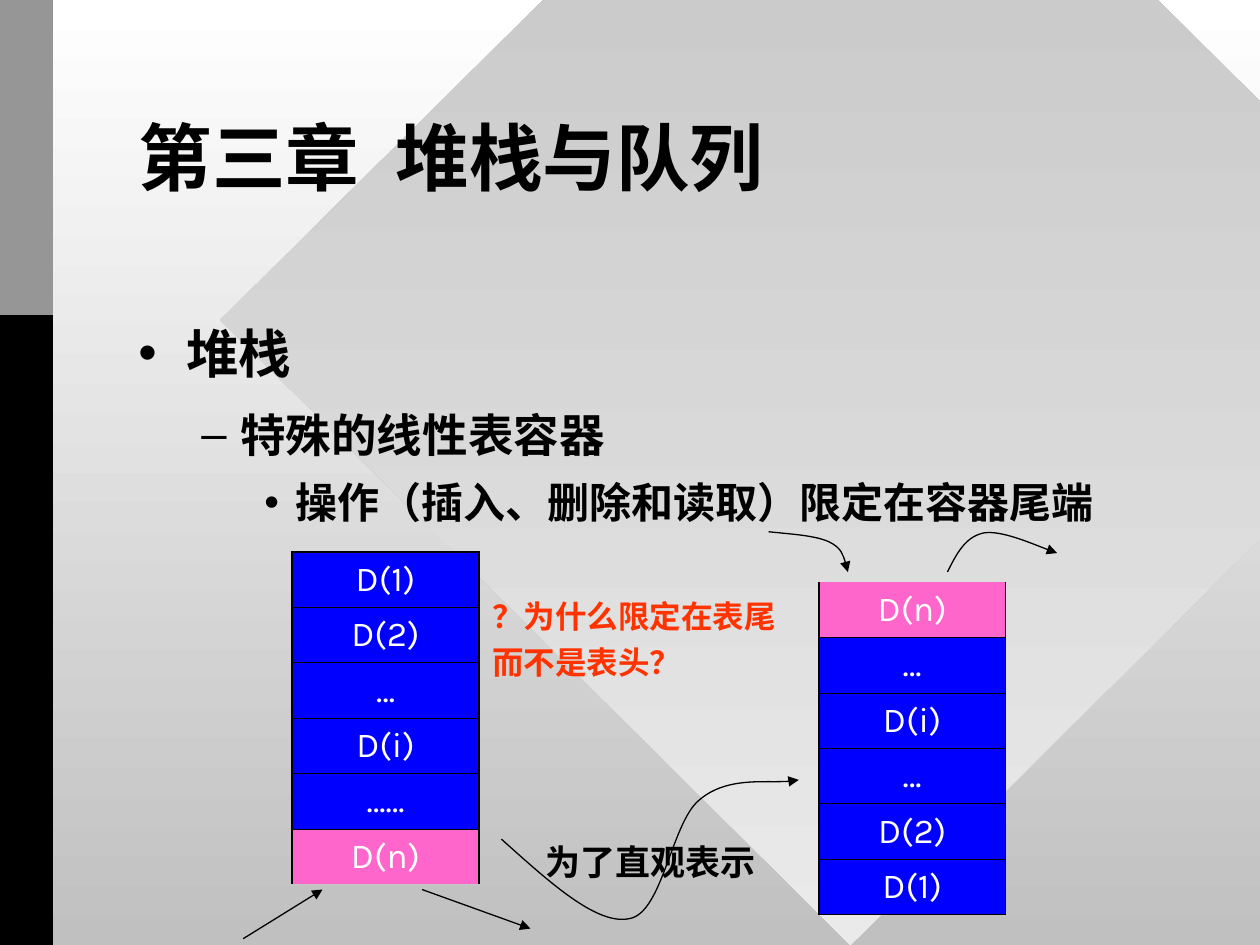
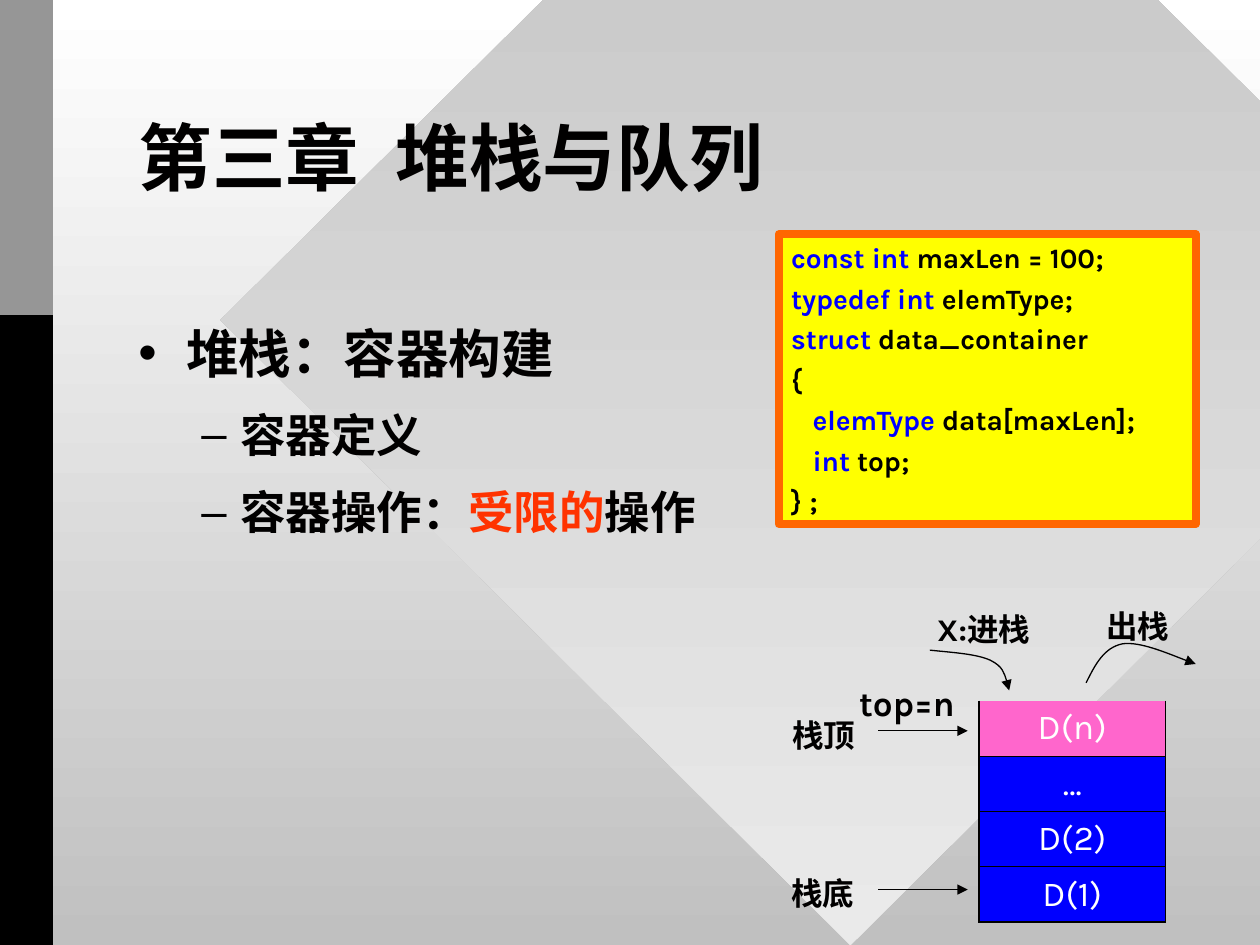
from lxml import etree
from pptx import Presentation
from pptx.dml.color import RGBColor
from pptx.enum.shapes import MSO_CONNECTOR, MSO_SHAPE
from pptx.enum.text import MSO_ANCHOR, MSO_AUTO_SIZE, PP_ALIGN
from pptx.oxml.ns import qn
from pptx.util import Inches, Pt

STRAIGHT = MSO_CONNECTOR.STRAIGHT
RECTANGLE, DIAMOND = MSO_SHAPE.RECTANGLE, MSO_SHAPE.DIAMOND
MIDDLE, TOP = MSO_ANCHOR.MIDDLE, MSO_ANCHOR.TOP
LEFT, CENTER = PP_ALIGN.LEFT, PP_ALIGN.CENTER
GROW, FIXED = MSO_AUTO_SIZE.SHAPE_TO_FIT_TEXT, MSO_AUTO_SIZE.NONE

FONT = "Karla"
COLORS = {
    "ink": "010000", "white": "FFFFFF", "silver": "C0C0C0", "pale": "EAEAEA",
    "gray": "969696", "black": "000000", "blue": "0000FF", "pink": "FF66CC",
    "red": "FF3300", "yellow": "FFFF00", "orange": "FF6600",
}
TITLE = "第三章\u2002堆栈与队列"
TITLE_BOX = (1, 0.67, 8, 1.25)
BODY_BOX = (1, 2.5, 8.25, 4)

# One entry per outline level: size, space before, margin, hang, bullet, line spacing
LEVELS = [
    (30, 22.5, 0.38, 0.38, "•", 1.0),
    (26, 13, 0.81, 0.31, "–", 1.0),
    (24, 10.5, 1.25, 0.25, "•", 0.95),
]
CELL_WIDTH, CELL_HEIGHT = 1.48, 0.44
SIDE_WIDTH, INNER_WIDTH, ARROW_WIDTH = 1.08, 0.45, 0.74

# Curves leave their start point through groups of three Bezier points
PUSH_CURVE = [(0, 0), (0.19, 0.02), (0.37, 0.03), (0.48, 0.08),
              (0.58, 0.13), (0.61, 0.23), (0.63, 0.32)]
POP_CURVE = [(0, 0), (0.07, -0.14), (0.14, -0.28), (0.29, -0.31),
             (0.43, -0.33), (0.73, -0.2), (0.87, -0.15)]
TURN_CURVE = [(0, 0), (0.38, 0.34), (0.76, 0.69), (1.02, 0.63),
              (1.28, 0.58), (1.35, -0.13), (1.57, -0.31),
              (1.79, -0.5), (2.2, -0.43), (2.36, -0.47)]

# Outline lines are (level, runs), runs are (text, colour);
# stacks are (left, top, cells, row of the closed end);
# labels are (left, top, width, height, size, colour, lines)
SLIDES = [
    {
        "outline": [
            (0, [("堆栈", "ink")]),
            (1, [("特殊的线性表容器", "ink")]),
            (2, [("操作（插入、删除和读取）限定在容器尾端", "ink")]),
        ],
        "stacks": [
            (2.32, 4.38, ["D(1)", "D(2)", "…", "D(i)", "……", "D(n)"], 0),
            (6.5, 4.62, ["D(n)", "…", "D(i)", "…", "D(2)", "D(1)"], 5),
        ],
        "arrows": [(1.93, 7.45, 2.56, 7.06), (3.35, 7.06, 4.21, 7.37)],
        "curves": [(6.1, 4.22, PUSH_CURVE), (7.52, 4.54, POP_CURVE),
                   (3.98, 6.66, TURN_CURVE)],
        "labels": [
            (3.81, 4.69, 2.45, 0.77, 18, "red", ["？为什么限定在表尾", "而不是表头？"]),
            (4.23, 6.62, 1.87, 0.44, 20, "ink", ["为了直观表示"]),
        ],
    },
    {
        "outline": [
            (0, [("堆栈：容器构建", "ink")]),
            (1, [("容器定义", "ink")]),
            (1, [("容器操作：", "ink"), ("受限的", "red"), ("操作", "ink")]),
        ],
        "code": [
            (0, [("const int ", "blue"), ("maxLen = 100;", "ink")]),
            (0, [("typedef int ", "blue"), ("elemType;", "ink")]),
            (0, [("struct ", "blue"), ("data_container", "ink")]),
            (0, [("{", "ink")]),
            (1, [("elemType ", "blue"), ("data[maxLen];", "black")]),
            (1, [("int", "blue"), (" top;", "black")]),
            (0, [("} ;", "ink")]),
        ],
        "stacks": [(7.77, 5.56, ["D(n)", "…", "D(2)", "D(1)"], 3)],
        "arrows": [(6.97, y, 7.68, y) for y in (5.8, 7.06)],
        "curves": [(7.38, 5.16, PUSH_CURVE), (8.62, 5.42, POP_CURVE)],
        "labels": [
            (7.34, 4.79, 1, 0.4, 18, "ink", ["X:进栈"]),
            (8.68, 4.77, 0.7, 0.4, 18, "ink", ["出栈"]),
            (6.18, 6.89, 0.7, 0.4, 18, "ink", ["栈底"]),
            (6.19, 5.63, 0.7, 0.4, 18, "ink", ["栈顶"]),
            (6.72, 5.36, 1.01, 0.44, 20, "ink", ["top=n"]),
        ],
    },
]
CODE_BOX = (6.18, 1.86, 3.31, 2.3)
CODE_INDENT = 0.17


def rgb(name):
    """Return the named colour."""
    return RGBColor.from_string(COLORS[name])


def apply(target, **values):
    """Set each given attribute on the target."""
    for name, value in values.items():
        setattr(target, name, value)


def paint(fill, *names):
    """Fill with one colour, or with a gradient running downwards."""
    if len(names) == 1:
        fill.solid()
        fill.fore_color.rgb = rgb(names[0])
        return
    fill.gradient()
    fill.gradient_angle = 270
    for stop, name, position in zip(fill.gradient_stops, names, (0, 1)):
        apply(stop, position=position)
        stop.color.rgb = rgb(name)


def write(paragraph, runs, size, bold=True, **values):
    """Write coloured runs into a paragraph and format it."""
    apply(paragraph, **values)
    for text, color in runs:
        run = paragraph.add_run()
        run.text = text
        apply(run.font, name=FONT, size=Pt(size), bold=bold)
        run.font.color.rgb = rgb(color)


def paragraphs(frame, count):
    """Yield the first paragraph of a frame, then newly added ones."""
    yield frame.paragraphs[0]
    for _ in range(count - 1):
        yield frame.add_paragraph()


def add_bullet(paragraph, margin, hang, character):
    """Give a paragraph a hanging bullet."""
    properties = paragraph._p.get_or_add_pPr()
    properties.set("marL", str(Inches(margin)))
    properties.set("indent", str(-Inches(hang)))
    color = etree.SubElement(properties, qn("a:buClr"))
    etree.SubElement(color, qn("a:srgbClr"), val=COLORS["ink"])
    etree.SubElement(properties, qn("a:buFont"), typeface="Arial")
    etree.SubElement(properties, qn("a:buChar"), char=character)


def add_title(slide):
    """Place and format the title placeholder."""
    title = slide.shapes.title
    apply(title, **dict(zip(("left", "top", "width", "height"), map(Inches, TITLE_BOX))))
    apply(title.text_frame, vertical_anchor=MIDDLE, auto_size=FIXED, word_wrap=True)
    write(title.text_frame.paragraphs[0], [(TITLE, "ink")], 42,
          alignment=LEFT, line_spacing=0.85)


def add_outline(slide, lines):
    """Add the bulleted body text."""
    frame = slide.shapes.add_textbox(*map(Inches, BODY_BOX)).text_frame
    frame.word_wrap = True
    for paragraph, (level, runs) in zip(paragraphs(frame, len(lines)), lines):
        size, before, margin, hang, bullet, spacing = LEVELS[level]
        write(paragraph, runs, size, level=level, space_before=Pt(before),
              line_spacing=spacing)
        add_bullet(paragraph, margin, hang, bullet)


def add_code(slide, lines):
    """Add the framed code listing."""
    shape = add_block(slide, RECTANGLE, CODE_BOX, "yellow")
    shape.line.color.rgb = rgb("orange")
    shape.line.width = Pt(4.5)
    frame = shape.text_frame
    apply(frame, word_wrap=True, auto_size=GROW, vertical_anchor=TOP)
    for paragraph, (depth, runs) in zip(paragraphs(frame, len(lines)), lines):
        write(paragraph, runs, 16, alignment=LEFT, space_before=Pt(4))
        paragraph._p.get_or_add_pPr().set("marL", str(Inches(CODE_INDENT * depth)))


def add_label(slide, left, top, width, height, size, color, lines):
    """Add a bold unwrapped label."""
    box = slide.shapes.add_textbox(*map(Inches, (left, top, width, height)))
    apply(box.text_frame, word_wrap=False, auto_size=GROW)
    for paragraph, text in zip(paragraphs(box.text_frame, len(lines)), lines):
        write(paragraph, [(text, color)], size, space_before=Pt(size / 4))


def set_border(cell, side, width):
    """Draw one cell border, or none where the width is zero."""
    properties = cell._tc.get_or_add_tcPr()
    line = etree.Element(qn("a:" + side), w=str(Pt(width)))
    if width:
        fill = etree.SubElement(line, qn("a:solidFill"))
        etree.SubElement(fill, qn("a:srgbClr"), val=COLORS["ink"])
    else:
        etree.SubElement(line, qn("a:noFill"))
    properties.insert(len(properties) - 1, line)


def add_stack(slide, left, top, items, closed_row):
    """Add a one-column stack that is open at its D(n) end."""
    count = len(items)
    frame = slide.shapes.add_table(count, 1, *map(
        Inches, (left, top, CELL_WIDTH, CELL_HEIGHT * count)))
    table = frame.table
    apply(table, first_row=False, horz_banding=False)
    ends = [SIDE_WIDTH, 0] if closed_row == 0 else [0, SIDE_WIDTH]
    edges = [ends[0]] + [INNER_WIDTH] * (count - 1) + [ends[1]]
    for row, text in enumerate(items):
        cell = table.cell(row, 0)
        cell.vertical_anchor = MIDDLE
        paint(cell.fill, "pink" if text == "D(n)" else "blue")
        write(cell.text_frame.paragraphs[0], [(text, "white")], 20, bold=False,
              alignment=CENTER, space_before=Pt(15))
        for side, width in (("lnL", SIDE_WIDTH), ("lnR", SIDE_WIDTH),
                            ("lnT", edges[row]), ("lnB", edges[row + 1])):
            set_border(cell, side, width)


def style_arrow(shape):
    """Give a line its ink, width and arrowhead."""
    shape.line.color.rgb = rgb("ink")
    shape.line.width = Pt(ARROW_WIDTH)
    line = shape.element.spPr.find(qn("a:ln"))
    etree.SubElement(line, qn("a:tailEnd"), type="triangle")


def add_arrow(slide, *ends):
    """Add a straight arrow."""
    arrow = slide.shapes.add_connector(STRAIGHT, *map(Inches, ends))
    style_arrow(arrow)
    etree.SubElement(arrow.element.spPr, qn("a:effectLst"))


def add_curve(slide, left, top, offsets):
    """Add a curved arrow through Bezier points relative to its start."""
    points = [(Inches(left + x), Inches(top + y)) for x, y in offsets]
    builder = slide.shapes.build_freeform(*points[0])
    builder.add_line_segments(points[1:], close=False)
    shape = builder.convert_to_shape()
    outline = shape.element.spPr.find(".//" + qn("a:path"))
    segments = outline.findall(qn("a:lnTo"))
    for start in range(0, len(segments), 3):
        curve = etree.SubElement(outline, qn("a:cubicBezTo"))
        for segment in segments[start:start + 3]:
            curve.append(segment[0])
            outline.remove(segment)
    shape.fill.background()
    shape.shadow.inherit = False
    style_arrow(shape)


def add_block(slide, kind, box, *colors):
    """Add a filled shape without line or shadow."""
    shape = slide.shapes.add_shape(kind, *map(Inches, box))
    shape.shadow.inherit = False
    shape.line.fill.background()
    paint(shape.fill, *colors)
    return shape


def decorate_layout(layout, slide):
    """Draw the shared backdrop and move it behind the layout's placeholders."""
    paint(layout.background.fill, "white", "silver")
    backdrop = [
        add_block(slide, DIAMOND, (1.75, -2.42, 10, 9.92), "silver", "pale"),
        add_block(slide, RECTANGLE, (0, 0, 0.42, 7.5), "black"),
        add_block(slide, RECTANGLE, (0, 0, 0.42, 2.5), "gray"),
    ]
    for index, shape in enumerate(backdrop, start=2):
        layout.shapes.element.insert(index, shape.element)


presentation = Presentation()
apply(presentation, slide_width=Inches(10), slide_height=Inches(7.5))
title_only = presentation.slide_layouts[5]
for content in SLIDES:
    slide = presentation.slides.add_slide(title_only)
    add_title(slide)
    add_outline(slide, content["outline"])
    if "code" in content:
        add_code(slide, content["code"])
    for key, add in (("stacks", add_stack), ("arrows", add_arrow),
                     ("curves", add_curve), ("labels", add_label)):
        for item in content[key]:
            add(slide, *item)
decorate_layout(title_only, slide)
presentation.save("out.pptx")
